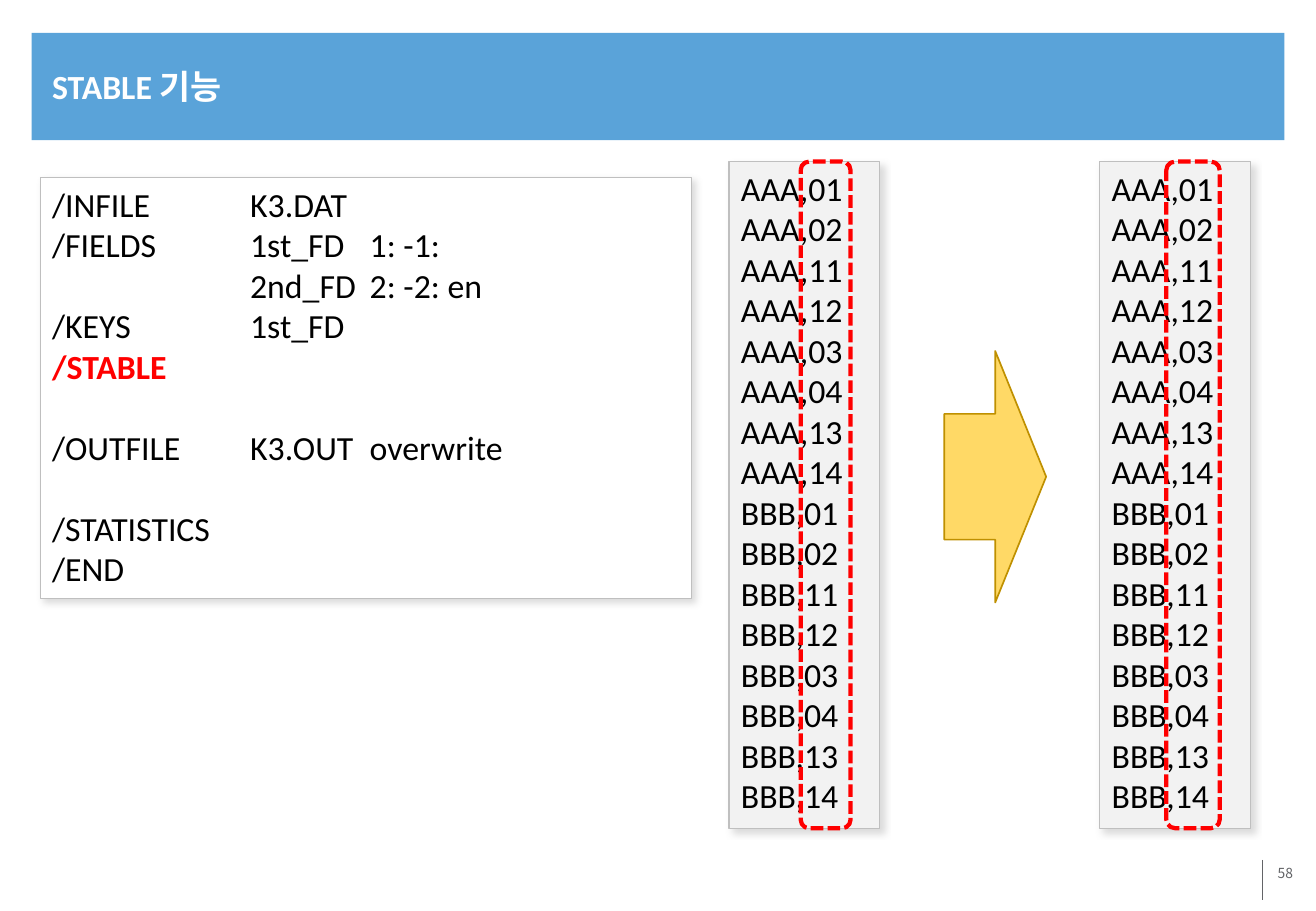
from lxml import etree
from pptx import Presentation, util as u
from pptx.dml.color import RGBColor
from pptx.enum import dml, shapes, text
from pptx.oxml import parse_xml
from pptx.oxml.ns import nsdecls, qn

COLORS = {
    "banner": "5AA3D9", "white": "FFFFFF", "black": "000000", "red": "FF0000",
    "gray": "636467", "border": "BFBFBF", "data": "F2F2F2", "shadow": "A6A6A6",
    "arrow": "FFD966", "arrow_edge": "BF9000",
}
SHAPE = shapes.MSO_SHAPE

prs = Presentation()
prs.slide_width, prs.slide_height = u.Cm(27.51), u.Cm(19.05)
slide = prs.slides.add_slide(prs.slide_layouts[6])


def add_block(kind, left, top, width, height, fill=None, line=None, weight=0.75, shadow=False):
    block = slide.shapes.add_shape(kind, u.Cm(left), u.Cm(top), u.Cm(width), u.Cm(height))
    block.shadow.inherit = False
    if fill:
        block.fill.solid()
        block.fill.fore_color.rgb = RGBColor.from_string(COLORS[fill])
    else:
        block.fill.background()
    if line:
        block.line.color.rgb = RGBColor.from_string(COLORS[line])
        block.line.width = u.Pt(weight)
    else:
        block.line.fill.background()
    if shadow:
        block._element.spPr.find(qn("a:effectLst")).append(parse_xml(
            f'<a:outerShdw {nsdecls("a")} blurRad="50800" dist="38100" dir="2700000" '
            f'algn="tl" rotWithShape="0"><a:srgbClr val="{COLORS["shadow"]}">'
            '<a:alpha val="40000"/></a:srgbClr></a:outerShdw>'))
    return block


def write(block, lines, size=20, color="black", bold=False, font="Calibri",
          align=text.PP_ALIGN.LEFT, anchor=text.MSO_ANCHOR.TOP, tabs=(), gaps=(), accent=None):
    frame = block.text_frame
    frame.word_wrap = True
    frame.vertical_anchor = anchor
    for index, words in enumerate(lines):
        paragraph = frame.paragraphs[0] if index == 0 else frame.add_paragraph()
        paragraph.alignment = align
        if words in gaps:
            paragraph.space_before = u.Pt(24)
        if tabs:
            stops = etree.SubElement(paragraph._p.get_or_add_pPr(), qn("a:tabLst"))
            for stop in tabs:
                etree.SubElement(stops, qn("a:tab"), pos=str(u.Cm(stop)), algn="l")
        run = paragraph.add_run()
        run.text = words
        run.font.size = u.Pt(size)
        run.font.name = font
        run.font.bold = bold or words == accent
        run.font.color.rgb = RGBColor.from_string(COLORS["red" if words == accent else color])
        etree.SubElement(run._r.get_or_add_rPr(), qn("a:ea"), typeface="Noto Sans CJK KR")


# Banner and title
add_block(SHAPE.RECTANGLE, 0.66, 0.69, 26.19, 2.24, fill="banner")
title = slide.shapes.add_textbox(u.Cm(0.84), u.Cm(0.79), u.Cm(25.91), u.Cm(2.01))
write(title, ["STABLE 기능"], color="white", bold=True, anchor=text.MSO_ANCHOR.MIDDLE)

# Page number with its divider
page_number = slide.shapes.add_textbox(u.Cm(22.56), u.Cm(17.98), u.Cm(4.65), u.Cm(1.27))
page_number.text_frame.margin_left = page_number.text_frame.margin_right = u.Cm(0.18)
page_number.text_frame.margin_top = page_number.text_frame.margin_bottom = u.Cm(0.1)
write(page_number, ["58"], size=8.2, color="gray", font="Noto Sans CJK KR",
      align=text.PP_ALIGN.RIGHT)
divider = slide.shapes.add_connector(
    shapes.MSO_CONNECTOR.STRAIGHT, u.Cm(26.39), u.Cm(17.98), u.Cm(26.39), u.Cm(18.82))
divider.line.color.rgb = RGBColor.from_string(COLORS["gray"])
divider.line.width = u.Pt(0.75)
etree.SubElement(divider._element.spPr, qn("a:effectLst"))

# Sort script
commands = [
    "/INFILE\tK3.DAT",
    "/FIELDS\t1st_FD\t1: -1:",
    "\t2nd_FD\t2: -2: en",
    "/KEYS\t1st_FD",
    "/STABLE",
    "/OUTFILE\tK3.OUT\toverwrite",
    "/STATISTICS",
    "/END",
]
sort_script = add_block(SHAPE.RECTANGLE, 0.84, 3.71, 13.61, 8.81,
                        fill="white", line="border", shadow=True)
write(sort_script, commands, tabs=(4.14, 6.64), accent="/STABLE",
      gaps=(commands[5], "/STATISTICS"))

# Records before and after the sort
records = [f"{key},{number}" for key in ("AAA", "BBB")
           for number in ("01", "02", "11", "12", "03", "04", "13", "14")]
for left in (15.24, 22.99):
    record_list = add_block(SHAPE.RECTANGLE, left, 3.38, 3.15, 13.94,
                            fill="data", line="border", shadow=True)
    write(record_list, records)

# Arrow from input to output
add_block(SHAPE.RIGHT_ARROW, 19.74, 7.34, 2.13, 5.26, fill="arrow", line="arrow_edge", weight=1)

# Dashed frames around the second field
for left, width in ((16.74, 1.04), (24.38, 1.12)):
    field_frame = add_block(SHAPE.ROUNDED_RECTANGLE, left, 3.38, width, 13.94,
                            line="red", weight=2.5)
    field_frame.line.dash_style = dml.MSO_LINE.SQUARE_DOT

prs.save("out.pptx")
